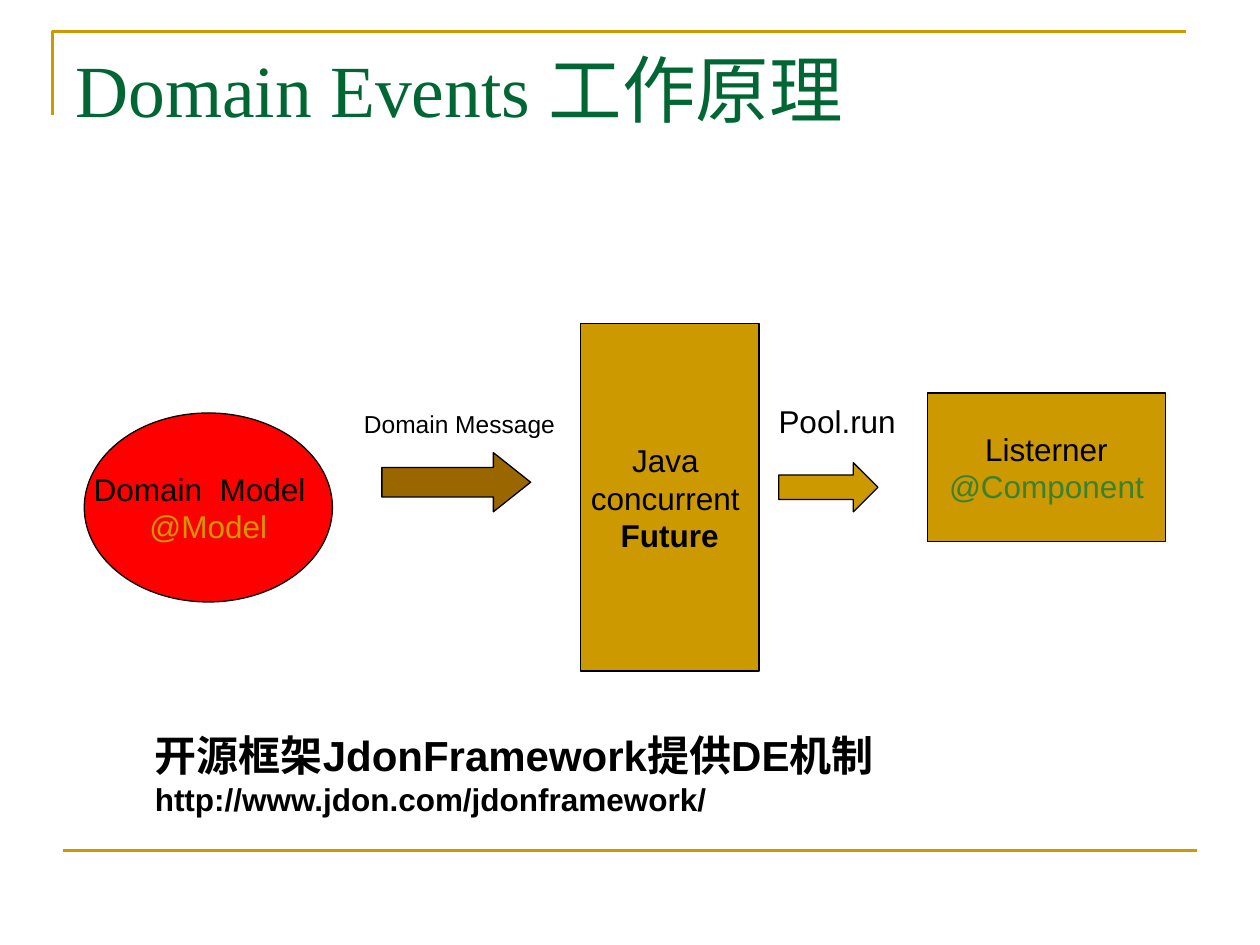
from lxml import etree
from pptx import Presentation
from pptx.dml.color import RGBColor
from pptx.enum import shapes, text
from pptx.oxml import ns
from pptx.util import Pt

COLORS = {
    "gold": "CC9900", "brown": "996600", "red": "FF0000",
    "title": "006633", "green": "3B812F", "black": "000000",
}
SHAPE = shapes.MSO_SHAPE


def rgb(name):
    return RGBColor.from_string(COLORS[name])


def put_text(s, lines, size=18, font="Arial", color="black", bold=False,
             align=text.PP_ALIGN.LEFT, anchor=text.MSO_ANCHOR.TOP,
             wrap=False, fit=text.MSO_AUTO_SIZE.NONE):
    """Each line is a (text, overrides) pair; overrides: size, color, bold."""
    tf = s.text_frame
    tf.word_wrap = wrap
    tf.auto_size = fit
    tf.vertical_anchor = anchor
    for i, (words, own) in enumerate(lines):
        p = tf.paragraphs[0] if i == 0 else tf.add_paragraph()
        p.alignment = align
        r = p.add_run()
        r.text = words
        r.font.name = font
        r.font.size = Pt(own.get("size", size))
        r.font.bold = own.get("bold", bold)
        r.font.color.rgb = rgb(own.get("color", color))
        # Chinese characters are always sans serif
        ea = etree.SubElement(r.font._element, ns.qn("a:ea"))
        ea.set("typeface", "Arial")


def add_label(slide, box, lines, fit=text.MSO_AUTO_SIZE.SHAPE_TO_FIT_TEXT, **fmt):
    s = slide.shapes.add_textbox(*map(Pt, box))
    put_text(s, lines, fit=fit, **fmt)


def add_block(slide, kind, box, fill, lines=(), adjust=()):
    s = slide.shapes.add_shape(kind, *map(Pt, box))
    s.shadow.inherit = False
    s.fill.solid()
    s.fill.fore_color.rgb = rgb(fill)
    s.line.color.rgb = rgb("black")
    s.line.width = Pt(0.75)
    for i, value in enumerate(adjust):
        s.adjustments[i] = value
    if lines:
        put_text(s, lines, align=text.PP_ALIGN.CENTER,
                 anchor=text.MSO_ANCHOR.MIDDLE)


def add_frame(slide):
    # Corner rule around the title
    pen = slide.shapes.build_freeform(Pt(30), Pt(66), scale=1.0)
    pen.add_line_segments([(Pt(30), Pt(18)), (Pt(678), Pt(18))], close=False)
    corner = pen.convert_to_shape()
    corner.shadow.inherit = False
    corner.fill.background()
    # Rule at the foot
    foot = slide.shapes.add_connector(
        shapes.MSO_CONNECTOR.STRAIGHT, Pt(36), Pt(486), Pt(684), Pt(486))
    etree.SubElement(foot._element.spPr, ns.qn("a:effectLst"))
    for s in (corner, foot):
        s.line.color.rgb = rgb("gold")
        s.line.width = Pt(1.5)


def main():
    prs = Presentation()
    prs.slide_width, prs.slide_height = Pt(720), Pt(540)
    slide = prs.slides.add_slide(prs.slide_layouts[6])

    # Frame and title
    add_frame(slide)
    add_label(slide, (36, 21.6, 648, 90), [("Domain Events 工作原理", {})],
              size=42, font="Times New Roman", color="title", wrap=True,
              fit=text.MSO_AUTO_SIZE.NONE)

    # Model, executor and listener
    add_block(slide, SHAPE.OVAL, (48.2, 236, 141.8, 108), "red",
              [("Domain  Model  ", {}), ("@Model", {"color": "gold"})])
    add_block(slide, SHAPE.RECTANGLE, (529.9, 224.6, 136.1, 85), "gold",
              [("Listerner", {}), ("@Component", {"color": "green"})])
    add_block(slide, SHAPE.RECTANGLE, (331.7, 185, 102, 198.5), "gold",
              [("Java ", {}), ("concurrent ", {}), ("Future", {"bold": True})])

    # Arrows and their labels
    add_block(slide, SHAPE.RIGHT_ARROW, (218.2, 258.7, 85, 33.8), "brown",
              adjust=(0.5, 0.63))
    add_block(slide, SHAPE.RIGHT_ARROW, (445, 264.4, 56.7, 28.1), "gold",
              adjust=(0.5, 0.5))
    add_label(slide, (200.9, 230.4, 124, 24.5), [("Domain Message", {})], size=14)
    add_label(slide, (437.8, 226.1, 81.4, 28.8), [("Pool.run", {})])

    # Framework note
    add_label(slide, (81.4, 413.3, 449, 79.2),
              [("开源框架JdonFramework提供DE机制", {"size": 24}),
               ("http://www.jdon.com/jdonframework/", {})], bold=True)

    prs.save("out.pptx")


if __name__ == "__main__":
    main()
